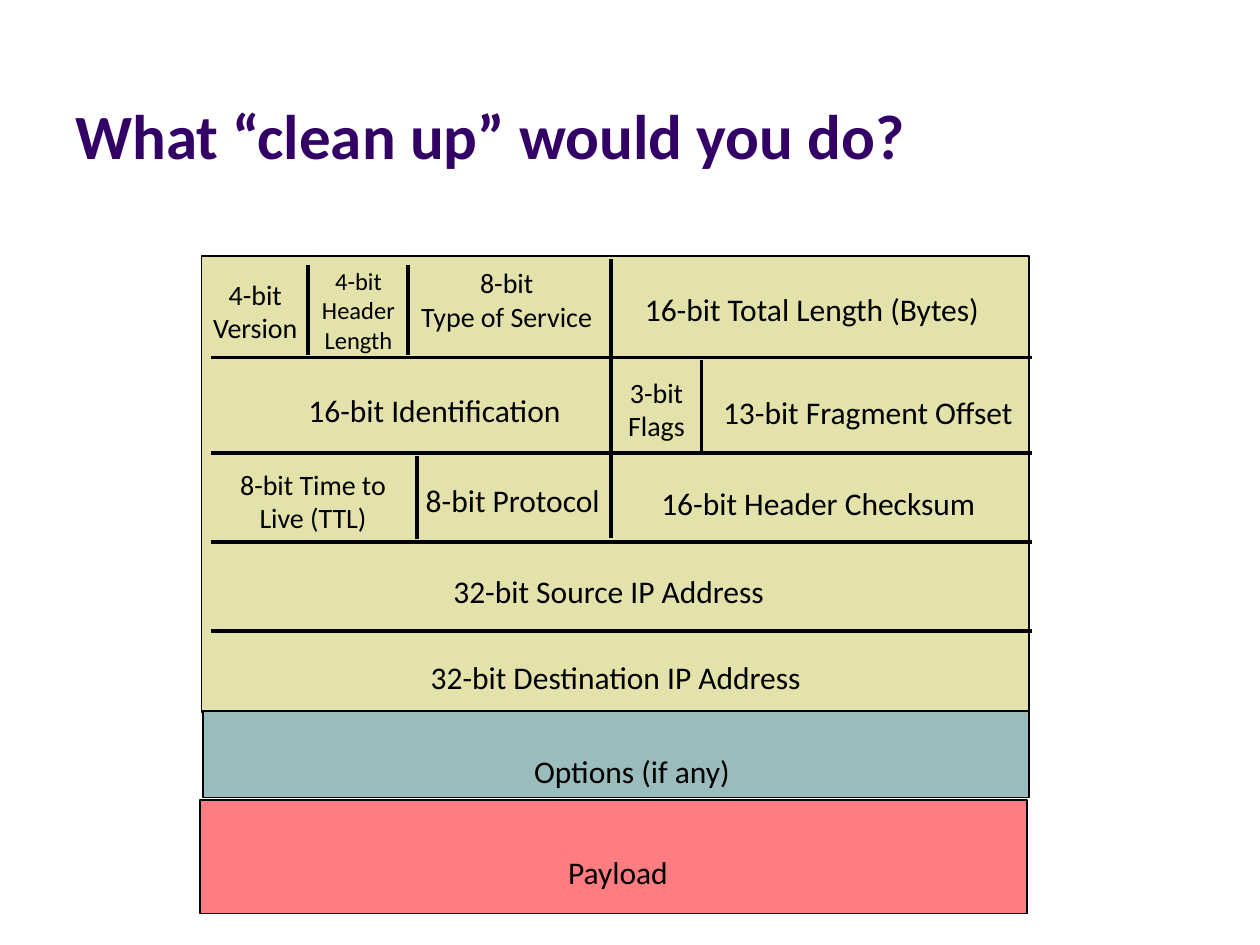
from dataclasses import dataclass

from pptx import Presentation
from pptx.dml.color import RGBColor as Rgb
from pptx.enum.shapes import MSO_CONNECTOR as Conn, MSO_SHAPE as Shape
from pptx.enum.text import MSO_ANCHOR as Anchor, MSO_AUTO_SIZE as Fit, PP_ALIGN as Align
from pptx.oxml import parse_xml
from pptx.oxml.ns import nsdecls
from pptx.slide import Slide
from pptx.util import Pt


@dataclass(frozen=True)
class Theme:
    font: str = "Calibri"
    ink: str = "000000"
    title: str = "330066"
    header: str = "E2E2AA"
    options: str = "9ABCBC"
    payload: str = "FF7C80"
    huge: float = 36
    large: float = 18
    mid: float = 16
    small: float = 14
    edge: float = 1
    rule: float = 2


@dataclass(frozen=True)
class Band:
    left: float
    top: float
    width: float
    height: float
    fill: str


@dataclass(frozen=True)
class Rule:
    x1: float
    y1: float
    x2: float
    y2: float


@dataclass(frozen=True)
class Label:
    left: float
    top: float
    width: float
    height: float
    size: float
    lines: tuple[str, ...]


THEME = Theme()

BANDS = (
    Band(115.2, 146.2, 473, 260.6, THEME.header),
    Band(115.9, 406.1, 472.3, 49.7, THEME.options),
    Band(114.5, 457.2, 472.3, 64.8, THEME.payload),
)

ROWS = tuple(Rule(120.6, y, 589.8, y) for y in (204.2, 258.9, 309.6, 360.7))
COLUMNS = tuple(Rule(x, top, x, end) for x, top, end in (
    (176, 151.2, 203),
    (233.3, 151.2, 203),
    (349.2, 148.3, 307.4),
    (401, 205.9, 257.8),
    (238.3, 260.6, 308.2),
))


def field(left: float, top: float, width: float, text: str) -> Label:
    """Describe a label of one line in the large size."""
    return Label(left, top, width, 29, THEME.large, (text,))


LABELS = (
    Label(113.8, 154.8, 64.1, 46.1, THEME.mid, ("4-bit", "Version")),
    Label(176.4, 148.3, 56.9, 58.3, THEME.small, ("4-bit", "Header", "Length")),
    Label(232.6, 148.3, 113.8, 65.5, THEME.mid, ("8-bit", "Type of Service")),
    field(361.4, 162, 209.5, "16-bit Total Length (Bytes)"),
    field(169.2, 219.6, 160.6, "16-bit Identification"),
    Label(351.4, 211, 47.5, 46.1, THEME.mid, ("3-bit", "Flags")),
    field(406.1, 221, 182.2, "13-bit Fragment Offset"),
    Label(129.6, 263.5, 98.6, 46.1, THEME.mid, ("8-bit Time to", "Live (TTL)")),
    field(236.2, 271.4, 115.2, "8-bit Protocol"),
    field(370.8, 272.9, 195.8, "16-bit Header Checksum"),
    field(252, 323.3, 194.4, "32-bit Source IP Address"),
    field(239, 372.2, 229, "32-bit Destination IP Address"),
    field(298.1, 426.2, 127.4, "Options (if any)"),
    field(317.5, 483.8, 72.7, "Payload"),
)


def rgb(code: str) -> Rgb:
    return Rgb.from_string(code)


def add_band(slide: Slide, band: Band) -> None:
    box = slide.shapes.add_shape(
        Shape.RECTANGLE, Pt(band.left), Pt(band.top), Pt(band.width), Pt(band.height))
    box.shadow.inherit = False
    box.fill.solid()
    box.fill.fore_color.rgb = rgb(band.fill)
    box.line.color.rgb = rgb(THEME.ink)
    box.line.width = Pt(THEME.edge)


def add_rule(slide: Slide, rule: Rule) -> None:
    line = slide.shapes.add_connector(
        Conn.STRAIGHT, Pt(rule.x1), Pt(rule.y1), Pt(rule.x2), Pt(rule.y2))
    line.line.color.rgb = rgb(THEME.ink)
    line.line.width = Pt(THEME.rule)
    line._element.spPr.append(parse_xml(f"<a:effectLst {nsdecls('a')}/>"))


def add_text(slide: Slide, label: Label, color: str = THEME.ink,
             bold: bool = False) -> object:
    """Add a box with one paragraph a line, centred if there are several."""
    box = slide.shapes.add_textbox(
        Pt(label.left), Pt(label.top), Pt(label.width), Pt(label.height))
    frame = box.text_frame
    frame.word_wrap = False
    frame.auto_size = Fit.SHAPE_TO_FIT_TEXT
    for i, text in enumerate(label.lines):
        para = frame.add_paragraph() if i else frame.paragraphs[0]
        para.alignment = Align.CENTER if len(label.lines) > 1 else Align.LEFT
        run = para.add_run()
        run.text = text
        run.font.name = THEME.font
        run.font.size = Pt(label.size)
        run.font.bold = bold
        run.font.color.rgb = rgb(color)
    return frame


def add_title(slide: Slide, text: str) -> None:
    label = Label(36, 9.4, 648, 92.2, THEME.huge, (text,))
    frame = add_text(slide, label, THEME.title, bold=True)
    frame.word_wrap = True
    frame.auto_size = Fit.NONE
    frame.vertical_anchor = Anchor.BOTTOM


def main() -> None:
    deck = Presentation()
    deck.slide_width, deck.slide_height = Pt(720), Pt(540)
    slide = deck.slides.add_slide(deck.slide_layouts[6])
    add_title(slide, "What “clean up” would you do?")
    for band in BANDS:
        add_band(slide, band)
    for rule in ROWS + COLUMNS:
        add_rule(slide, rule)
    for label in LABELS:
        add_text(slide, label)
    deck.save("out.pptx")


if __name__ == "__main__":
    main()
